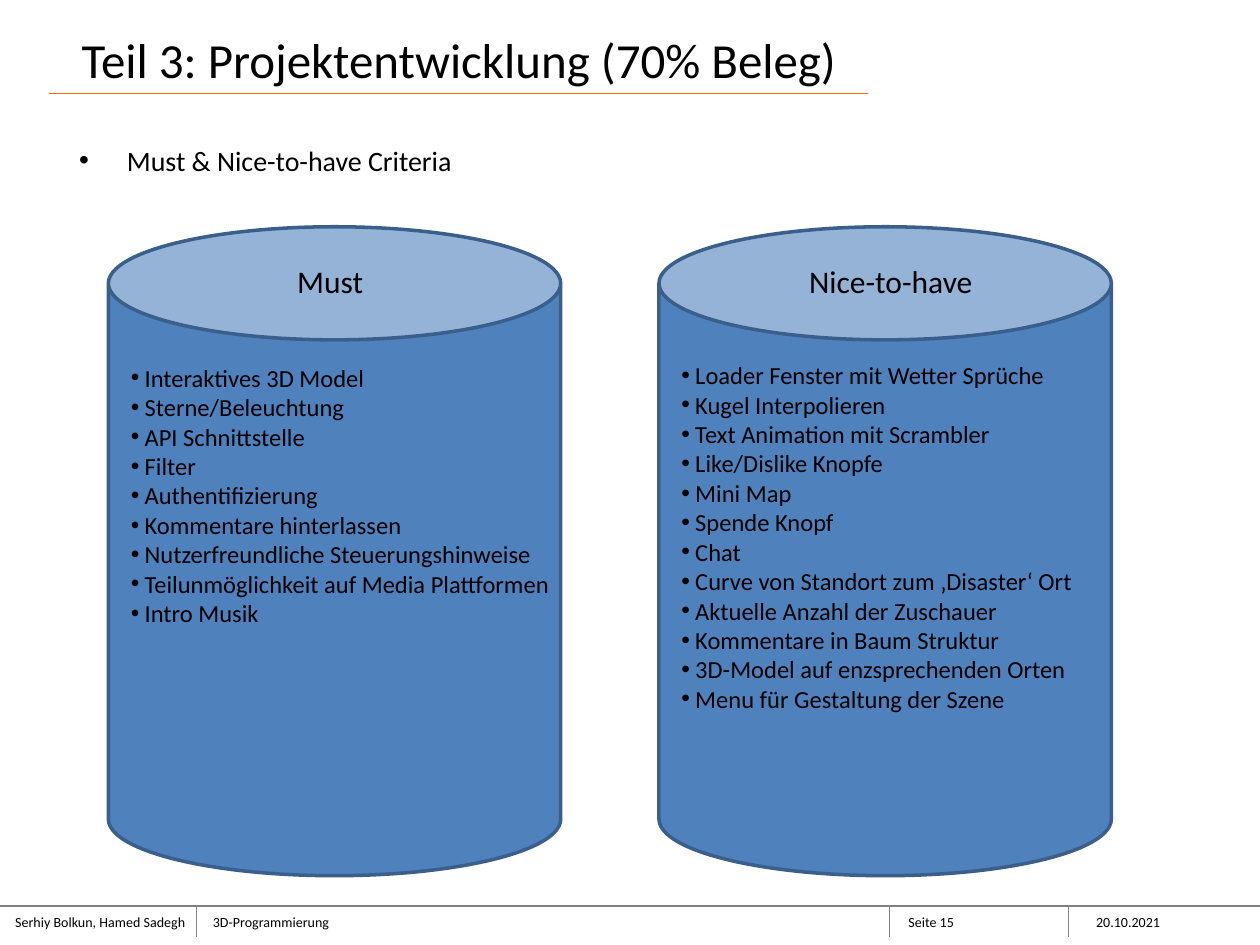
from lxml.etree import SubElement
from pptx import Presentation
from pptx.dml.color import RGBColor
from pptx.enum.shapes import MSO_CONNECTOR, MSO_SHAPE
from pptx.enum.text import MSO_ANCHOR, MSO_AUTO_SIZE, PP_ALIGN
from pptx.oxml.ns import qn
from pptx.util import Pt

SCALE = 9144
SLIDE_WIDTH, SLIDE_HEIGHT = 1000, 750
FONT = "Calibri"
BLACK = RGBColor(0x00, 0x00, 0x00)
ORANGE = RGBColor(0xFF, 0x66, 0x00)
GRAY = RGBColor(0x80, 0x80, 0x80)
BLUE = RGBColor(0x4F, 0x81, 0xBD)
DARK_BLUE = RGBColor(0x3A, 0x5F, 0x8C)

MUST = [
    "Interaktives 3D Model",
    "Sterne/Beleuchtung",
    "API Schnittstelle",
    "Filter",
    "Authentifizierung",
    "Kommentare hinterlassen",
    "Nutzerfreundliche Steuerungshinweise",
    "Teilunmöglichkeit auf Media Plattformen",
    "Intro Musik",
]
NICE_TO_HAVE = [
    "Loader Fenster mit Wetter Sprüche",
    "Kugel Interpolieren",
    "Text Animation mit Scrambler",
    "Like/Dislike Knopfe",
    "Mini Map",
    "Spende Knopf",
    "Chat",
    "Curve von Standort zum ‚Disaster‘ Ort",
    "Aktuelle Anzahl der Zuschauer",
    "Kommentare in Baum Struktur",
    "3D-Model auf enzsprechenden Orten",
    "Menu für Gestaltung der Szene",
]


def emu(*lengths):
    """Turn px lengths into EMU."""
    return [length * SCALE for length in lengths]


def add_line(slide, start, end, color):
    """Draw a thin straight line without a shadow."""
    line = slide.shapes.add_connector(MSO_CONNECTOR.STRAIGHT, *emu(*start, *end))
    line.line.color.rgb = color
    line.line.width = Pt(0.75)
    SubElement(line._element.spPr, qn("a:effectLst"))


def write(paragraph, text, size, align=PP_ALIGN.LEFT, indent=0):
    """Write one run, with a hanging bullet if an indent is given."""
    paragraph.alignment = align
    if indent:
        properties = paragraph._p.get_or_add_pPr()
        properties.set("marL", str(indent * SCALE))
        properties.set("indent", str(-indent * SCALE))
        SubElement(properties, qn("a:buFont"), typeface="Arial")
        SubElement(properties, qn("a:buChar"), char="•")
    run = paragraph.add_run()
    run.text = text
    run.font.size = Pt(size)
    run.font.name = FONT
    run.font.color.rgb = BLACK


def add_text(slide, box, lines, size, align=PP_ALIGN.LEFT, indent=0):
    """Add a wrapping text box with one paragraph per line."""
    frame = slide.shapes.add_textbox(*emu(*box)).text_frame
    frame.word_wrap = True
    for index, text in enumerate(lines):
        paragraph = frame.add_paragraph() if index else frame.paragraphs[0]
        write(paragraph, text, size, align, indent)
    return frame


def place_title(slide, box, text):
    """Place the title placeholder and its underline."""
    left, top, width, height = box
    title = slide.shapes.title
    title.left, title.top, title.width, title.height = emu(*box)
    title.text_frame.auto_size = MSO_AUTO_SIZE.NONE
    title.text_frame.vertical_anchor = MSO_ANCHOR.MIDDLE
    write(title.text_frame.paragraphs[0], text, 28, PP_ALIGN.CENTER)
    add_line(slide, (left + 125, top + 90), (left + 775, top + 90), ORANGE)


def add_criteria_can(slide, box, label, items, label_left, list_top):
    """Draw a can with a label on its lid and a bulleted list on its side."""
    left, top, width, height = box
    can = slide.shapes.add_shape(MSO_SHAPE.CAN, *emu(*box))
    can.shadow.inherit = False
    can.fill.solid()
    can.fill.fore_color.rgb = BLUE
    can.line.color.rgb = DARK_BLUE
    can.line.width = Pt(2)
    add_text(slide, (left + label_left, top + 23, 242, 40), [label], 18, PP_ALIGN.CENTER)
    list_box = (left + 8, top + list_top, width + 8, height - list_top)
    add_text(slide, list_box, items, 14, indent=11)


def add_footer(slide, box, cells, dividers):
    """Draw the footer rule, its dividers and its text cells."""
    left, top, width, height = box
    add_line(slide, (left, top), (left + width, top), GRAY)
    for x in dividers:
        add_line(slide, (left + x, top), (left + x, top + height), GRAY)
    for x, cell_width, text in cells:
        frame = add_text(slide, (left + x, top + 1, cell_width, 24), [text], 8)
        frame.margin_left = 0


def main():
    """Build the slide and save it."""
    presentation = Presentation()
    presentation.slide_width, presentation.slide_height = emu(SLIDE_WIDTH, SLIDE_HEIGHT)
    slide = presentation.slides.add_slide(presentation.slide_layouts[5])
    place_title(slide, (-86, -16, 900, 125), "Teil 3: Projektentwicklung (70% Beleg)")
    add_text(slide, (53, 109, 900, 60), ["Must & Nice-to-have Criteria"], 16, indent=38)
    add_criteria_can(slide, (86, 180, 359, 515), "Must", MUST, 55, 103)
    add_criteria_can(slide, (523, 180, 359, 515), "Nice-to-have", NICE_TO_HAVE, 63, 101)
    cells = [
        (12, 152, "Serhiy Bolkun, Hamed Sadegh"),
        (169, 183, "3D-Programmierung"),
        (721, 110, "Seite 15"),
        (870, 114, "20.10.2021"),
    ]
    add_footer(slide, (0, 719, SLIDE_WIDTH, 25), cells, (156, 706, 848))
    presentation.save("out.pptx")


if __name__ == "__main__":
    main()
